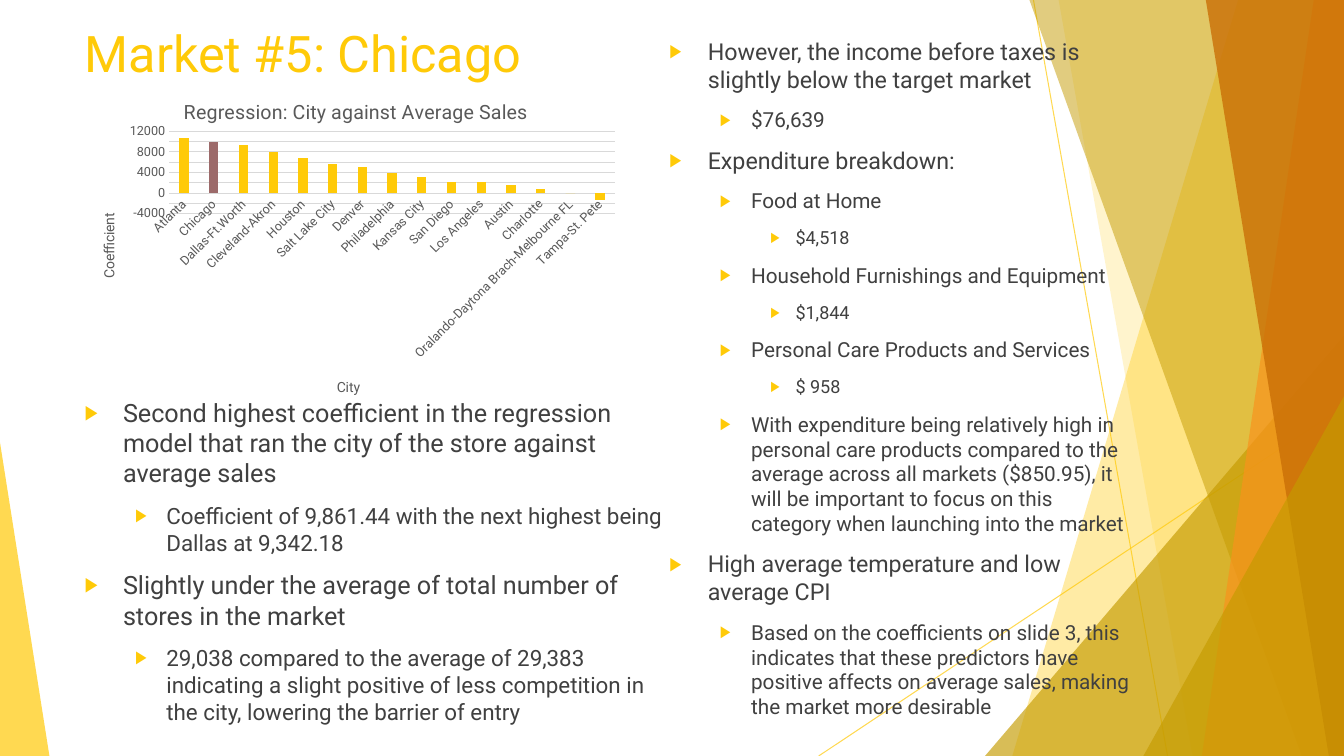
from dataclasses import dataclass
from pptx import Presentation, util as u
from pptx.chart import data
from pptx.dml import color as col
from pptx.enum import chart as ec, shapes, text
from pptx.oxml import parse_xml
from pptx.oxml.ns import nsdecls, qn

INK = {"gold": "FFCA08", "dark": "C59B00", "amber": "F8931D", "rust": "CA6F06",
       "mauve": "9C6A6A", "body": "404040", "gray": "595959", "grid": "D9D9D9"}
FONT = "Roboto"
WIDE, HIGH = 13.33, 7.5
INDENT = [(0.38, 0.38), (0.81, 0.31), (1.25, 0.25)]


@dataclass
class Ray:
    start: tuple[float, float]
    end: tuple[float, float]


@dataclass
class Band:
    top: float
    base: float
    ink: str
    alpha: int


@dataclass
class Wedge:
    box: tuple[float, float, float, float]
    tip: int
    ink: str
    alpha: int


@dataclass
class Item:
    level: int
    words: str


DECOR = [
    Ray((10.25, 0), (11.58, HIGH)),
    Ray((WIDE, 4.03), (8.12, HIGH)),
    Band(12.28, 10.04, "gold", 36),
    Band(10.5, 11.83, "gold", 20),
    Wedge((9.77, 3.33, 3.56, 4.17), 1, "dark", 66),
    Band(10.21, 12.91, "dark", 50),
    Band(13.03, 11.92, "amber", 70),
    Band(11.96, 13.18, "rust", 80),
    Wedge((11.34, 3.93, 1.99, 3.57), 1, "dark", 66),
    Wedge((0, 4.39, 0.49, 3.11), 0, "gold", 70),
]

LEFT = [
    Item(0, "Second highest coefficient in the regression model that ran the city of the store against average sales"),
    Item(1, "Coefficient of 9,861.44 with the next highest being Dallas at 9,342.18"),
    Item(0, "Slightly under the average of total number of stores in the market"),
    Item(1, "29,038 compared to the average of 29,383 indicating a slight positive of less competition in the city, lowering the barrier of entry"),
]
RIGHT = [
    Item(0, "However, the income before taxes is slightly below the target market"),
    Item(1, "$76,639"),
    Item(0, "Expenditure breakdown:"),
    Item(1, "Food at Home"),
    Item(2, "$4,518"),
    Item(1, "Household Furnishings and Equipment"),
    Item(2, "$1,844"),
    Item(1, "Personal Care Products and Services"),
    Item(2, "$ 958"),
    Item(1, "With expenditure being relatively high in personal care products compared to the average across all markets ($850.95), it will be important to focus on this category when launching into the market"),
    Item(0, "High average temperature and low average CPI"),
    Item(1, "Based on the coefficients on slide 3, this indicates that these predictors have positive affects on average sales, making the market more desirable"),
]

SALES = {"Atlanta": 10700, "Chicago": 9900, "Dallas-Ft.Worth": 9300, "Cleveland-Akron": 8000,
         "Houston": 6900, "Salt Lake City": 5600, "Denver": 5100, "Philadelphia": 3900,
         "Kansas City": 3100, "San Diego": 2100, "Los Angeles": 2100, "Austin": 1500,
         "Charlotte": 700, "Oralando-Daytona Brach-Melbourne FL": 0, "Tampa-St. Pete": -1400}


def rgb(ink: str) -> col.RGBColor:
    return col.RGBColor.from_string(INK[ink])


def style(font, size: float, ink: str) -> None:
    font.name, font.size, font.bold = FONT, u.Pt(size), False
    font.color.rgb = rgb(ink)


def write(para, words: str, *, size: float, ink: str = "body", level: int | None = None) -> None:
    run = para.add_run()
    run.text = words
    style(run.font, size, ink)
    if level is None:
        return
    para.level, para.space_before = level, u.Pt(10)
    para.alignment = text.PP_ALIGN.LEFT
    edge, hang = INDENT[level]
    props = para._p.get_or_add_pPr()
    props.set("marL", str(u.Inches(edge)))
    props.set("indent", str(-u.Inches(hang)))
    for mark in (f'<a:buClr {nsdecls("a")}><a:srgbClr val="{INK["gold"]}"/></a:buClr>',
                 f'<a:buSzPct {nsdecls("a")} val="80000"/>',
                 f'<a:buChar {nsdecls("a")} char="▶"/>'):
        props.append(parse_xml(mark))


def place(shape, box: tuple[float, float, float, float]):
    shape.left, shape.top, shape.width, shape.height = map(u.Inches, box)
    tree = shape._element.getparent()
    tree.append(shape._element)
    frame = shape.text_frame
    frame.word_wrap = True
    frame.auto_size = text.MSO_AUTO_SIZE.NONE
    frame.vertical_anchor = text.MSO_ANCHOR.TOP
    return frame


def list_out(shape, box: tuple[float, float, float, float], items: list[Item], sizes: list[float]) -> None:
    frame = place(shape, box)
    for spot, item in enumerate(items):
        para = frame.add_paragraph() if spot else frame.paragraphs[0]
        write(para, item.words, size=sizes[item.level], level=item.level)


def fade(shape, alpha: int) -> None:
    tint = shape._element.spPr.find(".//" + qn("a:srgbClr"))
    tint.append(parse_xml(f'<a:alpha {nsdecls("a")} val="{alpha * 1000}"/>'))


def draw(pool, part: Ray | Band | Wedge) -> None:
    if isinstance(part, Ray):
        ends = map(u.Inches, part.start + part.end)
        line = pool.add_connector(shapes.MSO_CONNECTOR.STRAIGHT, *ends)
        line.line.color.rgb, line.line.width = rgb("gold"), u.Pt(0.75)
        line._element.spPr.append(parse_xml(f'<a:effectLst {nsdecls("a")}/>'))
        fade(line, 70)
        return
    if isinstance(part, Band):
        pen = pool.build_freeform(u.Inches(part.top), 0)
        rest = [(WIDE, 0), (WIDE, HIGH), (part.base, HIGH)]
        pen.add_line_segments([(u.Inches(x), u.Inches(y)) for x, y in rest])
        shape = pen.convert_to_shape()
    else:
        shape = pool.add_shape(shapes.MSO_SHAPE.ISOSCELES_TRIANGLE, *map(u.Inches, part.box))
        shape.adjustments[0] = part.tip
    shape.shadow.inherit = False
    shape.fill.solid()
    shape.fill.fore_color.rgb = rgb(part.ink)
    shape.line.fill.background()
    fade(shape, part.alpha)


def lay(node, x: float, y: float, size: tuple[float, float] | None = None) -> None:
    for old in node.findall(qn("c:layout")):
        node.remove(old)
    rows = [("xMode", "edge"), ("yMode", "edge"), ("x", x), ("y", y)]
    if size:
        rows = [("layoutTarget", "inner"), *rows, ("w", size[0]), ("h", size[1])]
    body = "".join(f'<c:{tag} val="{val}"/>' for tag, val in rows)
    xml = f'<c:layout {nsdecls("c")}><c:manualLayout>{body}</c:manualLayout></c:layout>'
    rich = node.find(qn("c:tx"))
    node.insert(0 if rich is None else node.index(rich) + 1, parse_xml(xml))


def label(owner, words: str, size: float, x: float, y: float) -> None:
    title = owner.chart_title if hasattr(owner, "chart_title") else owner.axis_title
    write(title.text_frame.paragraphs[0], words, size=size, ink="gray")
    lay(title._element, x, y)


def plot_sales(pool) -> None:
    table = data.CategoryChartData()
    table.categories = list(SALES)
    table.add_series("Series 1", list(SALES.values()))
    box = map(u.Inches, (0.75, 0.78, 5.46, 3.27))
    chart = pool.add_chart(ec.XL_CHART_TYPE.COLUMN_CLUSTERED, *box, table).chart
    style(chart.font, 10, "gray")
    chart.has_legend = False
    plot = chart.plots[0]
    plot.gap_width, plot.overlap, plot.vary_by_categories = 219, -27, False
    bars = plot.series[0]
    bars.invert_if_negative = False
    for part, ink in ((bars, "gold"), (bars.points[1], "mauve")):
        part.format.fill.solid()
        part.format.fill.fore_color.rgb = rgb(ink)
    cat, val = chart.category_axis, chart.value_axis
    for axis in (cat, val):
        style(axis.tick_labels.font, 9, "gray")
        axis.major_tick_mark = axis.minor_tick_mark = ec.XL_TICK_MARK.NONE
    cat._element.find(qn("c:txPr")).find(qn("a:bodyPr")).set("rot", "-2700000")
    val.minimum_scale, val.maximum_scale, val.major_unit = -4000, 12000, 2000
    val.format.line.fill.background()
    for rule in (cat.format.line, val.major_gridlines.format.line):
        rule.color.rgb, rule.width = rgb("grid"), u.Pt(0.75)
    label(chart, "Regression: City against Average Sales", 14, 0.19, 0.05)
    label(cat, "City", 10, 0.47, 0.9)
    label(val, "Coefficient", 10, 0.04, 0.4)
    turn = val.axis_title.text_frame._txBody.find(qn("a:bodyPr"))
    turn.set("rot", "-5400000")
    lay(chart._chartSpace.chart.plotArea, 0.17, 0.16, (0.81, 0.25))


def main() -> None:
    deck = Presentation()
    deck.slide_width, deck.slide_height = u.Inches(WIDE), u.Inches(HIGH)
    slide = deck.slides.add_slide(deck.slide_layouts[3])
    pool = slide.shapes
    title, left, right = list(slide.placeholders)
    for part in DECOR:
        draw(pool, part)
    head = place(title, (0.74, 0.17, 9.4, 1.44)).paragraphs[0]
    head.alignment = text.PP_ALIGN.LEFT
    write(head, "Market #5: Chicago", size=36, ink="gold")
    list_out(left, (0.74, 3.89, 5.93, 3.43), LEFT, [18, 16])
    plot_sales(pool)
    list_out(right, (6.54, 0.32, 4.83, 7), RIGHT, [16.6, 14.8, 12.9])
    deck.save("out.pptx")


if __name__ == "__main__":
    main()
